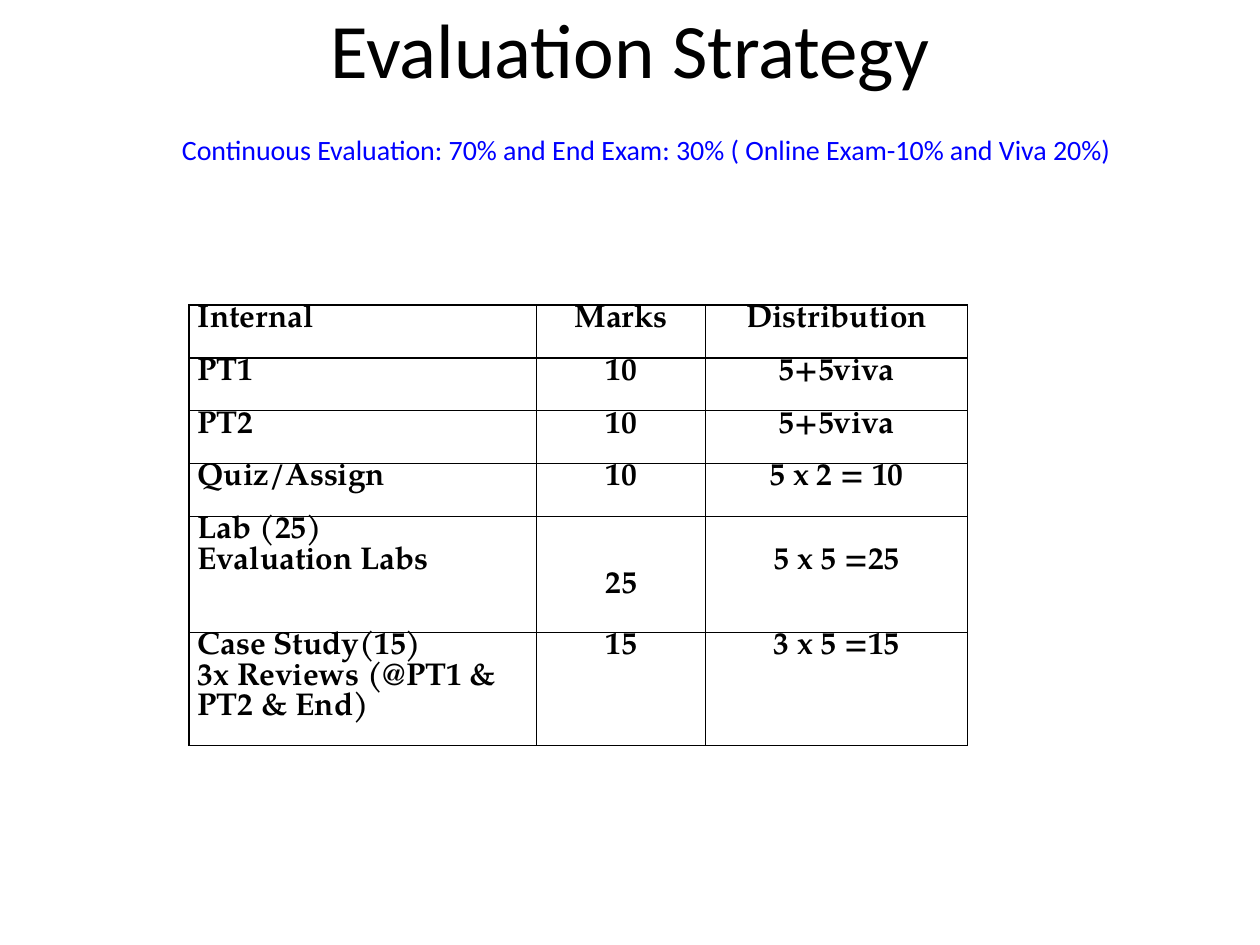
from dataclasses import dataclass

from lxml.etree import SubElement
from pptx import Presentation
from pptx.dml.color import RGBColor
from pptx.enum.text import MSO_ANCHOR, PP_ALIGN
from pptx.oxml.ns import qn
from pptx.util import Inches, Pt


@dataclass(frozen=True)
class Theme:
    black: RGBColor = RGBColor(0x00, 0x00, 0x00)
    blue: RGBColor = RGBColor(0x00, 0x00, 0xFF)
    text_font: str = "Calibri"
    table_font: str = "TeX Gyre Pagella"
    title_size: int = 44
    note_size: int = 16
    table_size: int = 18
    table_leading: float = 17.5
    border_width: int = 1


theme = Theme()


def write(para, text, font, size, color, align=PP_ALIGN.CENTER, bold=False):
    para.alignment = align
    span = para.add_run()
    span.text = text
    span.font.name = font
    span.font.size = Pt(size)
    span.font.color.rgb = color
    span.font.bold = bold


def add_borders(cell):
    properties = cell._tc.get_or_add_tcPr()
    for position, side in enumerate(("lnL", "lnR", "lnT", "lnB")):
        line = SubElement(properties, qn(f"a:{side}"), w=str(Pt(theme.border_width)))
        fill = SubElement(line, qn("a:solidFill"))
        SubElement(fill, qn("a:srgbClr"), val=str(theme.black))
        properties.insert(position, line)  # borders come before the cell fill


deck = Presentation()
deck.slide_width = Inches(10)
deck.slide_height = Inches(7.5)
page = deck.slides.add_slide(deck.slide_layouts[6])

# Title and note
headings = [
    ("Evaluation Strategy", (0.5, -0.25, 9, 1.25),
     theme.title_size, theme.black, MSO_ANCHOR.MIDDLE),
    ("Continuous Evaluation: 70% and End Exam: 30% ( Online Exam-10% and Viva 20%)",
     (0.67, 1, 8.92, 0.37), theme.note_size, theme.blue, MSO_ANCHOR.TOP),
]
for text, place, size, color, anchor in headings:
    box = page.shapes.add_textbox(*map(Inches, place))
    box.text_frame.word_wrap = True
    box.text_frame.vertical_anchor = anchor
    write(box.text_frame.paragraphs[0], text, theme.text_font, size, color)

# Marks table
rows = [
    ("Internal", "Marks", "Distribution"),
    ("PT1", "10", "5+5viva"),
    ("PT2", "10", "5+5viva"),
    ("Quiz/Assign", "10", "5 x 2 = 10"),
    ("Lab (25)\nEvaluation Labs", "25", "5 x 5 =25"),
    ("Case Study(15)\n3x Reviews (@PT1 & PT2 & End)", "15", "3 x 5 =15"),
]
column_widths = [2.76, 1.34, 2.08]
row_heights = [0.42] * 4 + [0.92, 0.9]
top_margins = {(4, 1): 0.43, (4, 2): 0.24}  # lowered text in the lab row

table = page.shapes.add_table(
    len(rows), len(column_widths), Inches(1.5), Inches(2.42),
    Inches(sum(column_widths)), Inches(sum(row_heights))).table
table.first_row = False
table.horz_banding = False
for column, width in zip(table.columns, column_widths):
    column.width = Inches(width)

for row_index, (texts, height) in enumerate(zip(rows, row_heights)):
    table.rows[row_index].height = Inches(height)
    for column_index, text in enumerate(texts):
        cell = table.cell(row_index, column_index)
        cell.fill.background()
        add_borders(cell)
        cell.margin_left = cell.margin_right = Inches(0.07)
        cell.margin_top = Inches(top_margins.get((row_index, column_index), 0))
        cell.margin_bottom = 0
        align = PP_ALIGN.CENTER if column_index else PP_ALIGN.LEFT
        frame = cell.text_frame
        for line_index, line_text in enumerate(text.split("\n")):
            para = frame.add_paragraph() if line_index else frame.paragraphs[0]
            para.line_spacing = Pt(theme.table_leading)
            write(para, line_text, theme.table_font, theme.table_size,
                  theme.black, align, bold=True)

deck.save("out.pptx")
